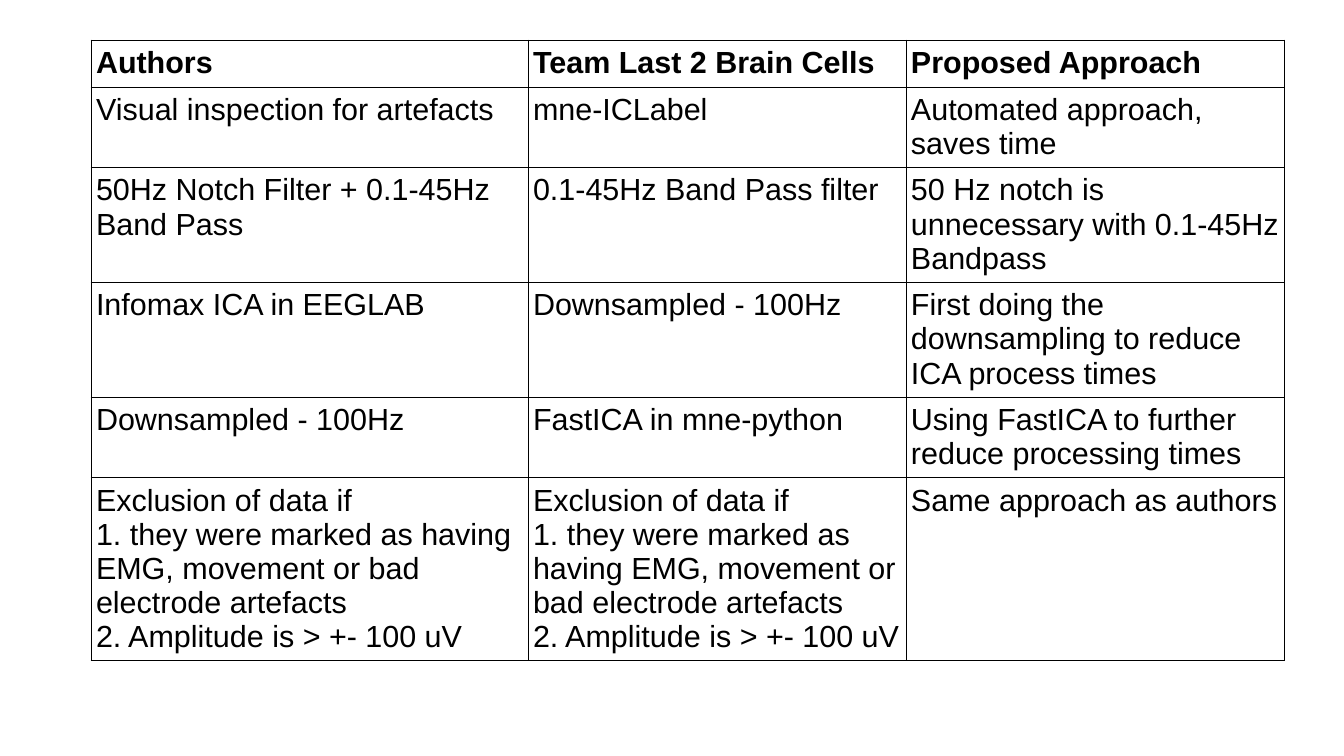
from lxml.etree import SubElement
from pptx import Presentation
from pptx.dml.color import RGBColor as RGB
from pptx.oxml.ns import qn
from pptx.util import Pt

PX = 914400 // 122
BLACK = RGB(0, 0, 0)
FONT = "Arial"
COLUMN_WIDTHS = [437, 378, 378]
ROW_HEIGHTS = [47, 80, 115, 115, 80, 183]
EXCLUSION = "\n".join([
    "Exclusion of data if",
    "1. they were marked as having EMG, movement or bad electrode artefacts",
    "2. Amplitude is > +- 100 uV",
])
ROWS = [
    ["Authors", "Team Last 2 Brain Cells", "Proposed Approach"],
    ["Visual inspection for artefacts", "mne-ICLabel",
     "Automated approach, saves time"],
    ["50Hz Notch Filter + 0.1-45Hz Band Pass", "0.1-45Hz Band Pass filter",
     "50 Hz notch is unnecessary with 0.1-45Hz Bandpass"],
    ["Infomax ICA in EEGLAB", "Downsampled - 100Hz",
     "First doing the downsampling to reduce ICA process times"],
    ["Downsampled - 100Hz", "FastICA in mne-python",
     "Using FastICA to further reduce processing times"],
    [EXCLUSION, EXCLUSION, "Same approach as authors"],
]


def px(n):
    return n * PX


def add_borders(cell):
    tc_pr = cell._tc.get_or_add_tcPr()
    for side in ("a:lnL", "a:lnR", "a:lnT", "a:lnB"):
        ln = SubElement(tc_pr, qn(side), w=str(Pt(0.57)))
        fill = SubElement(ln, qn("a:solidFill"))
        SubElement(fill, qn("a:srgbClr"), val=str(BLACK))


def fill_cell(cell, text, bold):
    add_borders(cell)
    cell.fill.background()
    cell.margin_left, cell.margin_right = px(5), px(4)
    cell.margin_top = cell.margin_bottom = px(6)
    tf = cell.text_frame
    tf.text = text
    for p in tf.paragraphs:
        p.font.name = FONT
        p.font.size = Pt(18)
        p.font.bold = bold
        p.font.color.rgb = BLACK


def add_comparison_table(slide, left, top):
    table = slide.shapes.add_table(
        len(ROWS), len(COLUMN_WIDTHS), px(left), px(top),
        px(sum(COLUMN_WIDTHS)), px(sum(ROW_HEIGHTS))).table
    table.first_row = table.horz_banding = False
    for column, width in zip(table.columns, COLUMN_WIDTHS):
        column.width = px(width)
    for i, (row, height) in enumerate(zip(table.rows, ROW_HEIGHTS)):
        row.height = px(height)
        for cell, text in zip(row.cells, ROWS[i]):
            fill_cell(cell, text, bold=i == 0)


def main():
    prs = Presentation()
    prs.slide_width, prs.slide_height = px(1344), px(756)
    slide = prs.slides.add_slide(prs.slide_layouts[6])
    add_comparison_table(slide, 91, 40)
    prs.save("out.pptx")


if __name__ == "__main__":
    main()
